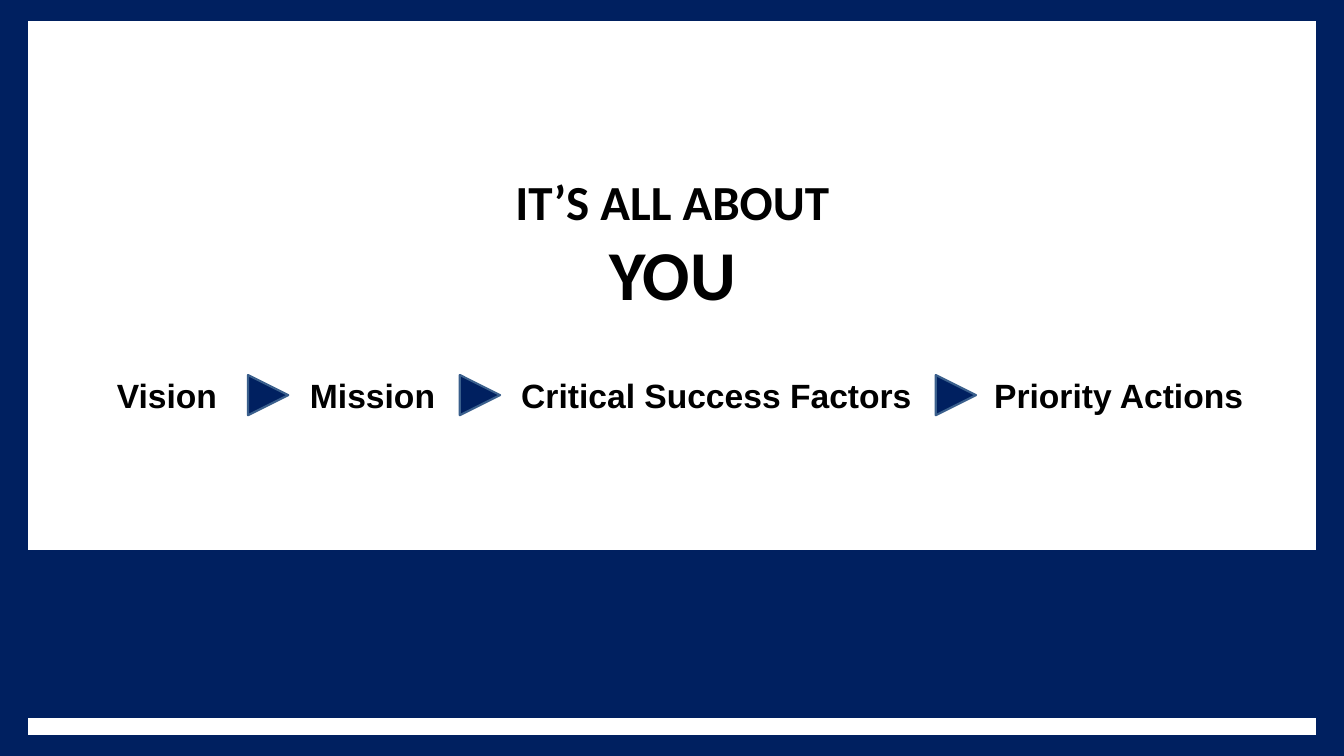
from typing import NamedTuple

from pptx import Presentation
from pptx import util as u
from pptx.dml.color import RGBColor
from pptx.enum import shapes, text

NAVY, STEEL, BLACK = "002060", "3A5F8C", "000000"


class Area(NamedTuple):
    """Shares of the slide's width and height, in percent."""
    left: float
    top: float
    width: float
    height: float


class Step(NamedTuple):
    label: str
    left: float
    width: float


EDGE_HEIGHT, SIDE_WIDTH = 2.67, 2.03
FRAME = [
    Area(0, 0, 100, EDGE_HEIGHT),
    Area(0, 100 - EDGE_HEIGHT, 100, EDGE_HEIGHT),
    Area(0, 1.07, SIDE_WIDTH, 96.93),
    Area(100 - SIDE_WIDTH, 1.07, SIDE_WIDTH, 96.93),
    Area(0, 72.93, 100, 21.87),
]
STEPS = [
    Step("Vision", 6.23, 12.38),
    Step("Mission", 21.53, 12.38),
    Step("Critical Success Factors", 37.66, 31.28),
    Step("Priority Actions", 72.62, 21.23),
]
ARROW_LEFTS = [18.45, 34.21, 69.62]

deck = Presentation()
deck.slide_width, deck.slide_height = u.Inches(13.33), u.Inches(7.5)
slide = deck.slides.add_slide(deck.slide_layouts[5])


def colour(value: str) -> RGBColor:
    return RGBColor.from_string(value)


def place(area: Area) -> tuple[int, int, int, int]:
    return (
        round(deck.slide_width * area.left / 100),
        round(deck.slide_height * area.top / 100),
        round(deck.slide_width * area.width / 100),
        round(deck.slide_height * area.height / 100),
    )


def draw_shape(kind: shapes.MSO_SHAPE, area: Area, outline: str, rotation: float = 0) -> None:
    shape = slide.shapes.add_shape(kind, *place(area))
    shape.rotation = rotation
    shape.shadow.inherit = False
    shape.fill.solid()
    shape.fill.fore_color.rgb = colour(NAVY)
    shape.line.color.rgb = colour(outline)
    shape.line.width = u.Pt(1.5)


def format_runs(paragraph, font: str, sizes: list[float]) -> None:
    paragraph.alignment = text.PP_ALIGN.CENTER
    for run, size in zip(paragraph.runs, sizes):
        run.font.name = font
        run.font.size = u.Pt(size)
        run.font.bold = True
        run.font.color.rgb = colour(BLACK)


def draw_step(step: Step) -> None:
    box = slide.shapes.add_textbox(*place(Area(step.left, 48.93, step.width, 6.67)))
    box.text_frame.word_wrap = True
    box.text_frame.text = step.label
    format_runs(box.text_frame.paragraphs[0], "Arial", [24])


for band in FRAME:
    draw_shape(shapes.MSO_SHAPE.RECTANGLE, band, NAVY)

headline = slide.shapes.title
headline.left, headline.top, headline.width, headline.height = place(Area(2.18, 21.6, 95.72, 25.2))
headline.text_frame.auto_size = text.MSO_AUTO_SIZE.NONE
headline.text_frame.vertical_anchor = text.MSO_ANCHOR.TOP
headline.text_frame.margin_top = u.Inches(0.08)
headline.text_frame.text = "IT’S ALL ABOUT\vYOU"
format_runs(headline.text_frame.paragraphs[0], "Calibri", [35, 50])

for step in STEPS:
    draw_step(step)
for arrow_left in ARROW_LEFTS:
    draw_shape(shapes.MSO_SHAPE.ISOSCELES_TRIANGLE, Area(arrow_left, 49.6, 3, 5.33), STEEL, 90)

deck.save("out.pptx")
